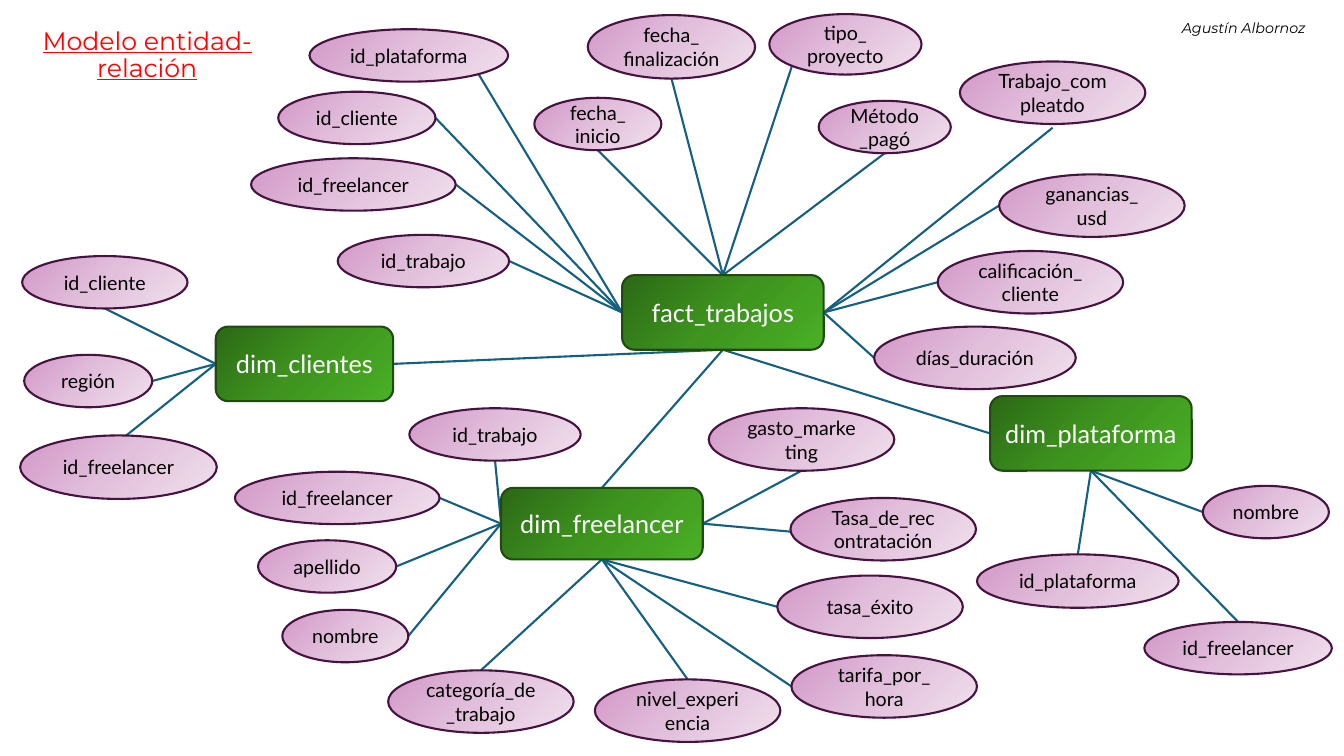
from copy import deepcopy

from lxml import etree
from pptx import Presentation
from pptx.dml.color import RGBColor
from pptx.enum.shapes import MSO_CONNECTOR, MSO_SHAPE
from pptx.enum.text import MSO_ANCHOR, MSO_AUTO_SIZE, PP_ALIGN
from pptx.oxml.ns import qn
from pptx.util import Inches, Pt

ROUNDED = MSO_SHAPE.ROUNDED_RECTANGLE
OVAL = MSO_SHAPE.OVAL
STRAIGHT = MSO_CONNECTOR.STRAIGHT
CENTER = PP_ALIGN.CENTER
TOP_ANCHOR = MSO_ANCHOR.TOP
MIDDLE_ANCHOR = MSO_ANCHOR.MIDDLE
NO_AUTOFIT = MSO_AUTO_SIZE.NONE

GREENS = ("2C6816", "3E941F", "4AB025")
PINKS = ("D297C8", "E2C0DC", "F0E1ED")
GREEN_BORDER = "224914"
PURPLE_BORDER = "461340"
LINK_COLOR = "156082"

TOP, BOTTOM, LEFT, RIGHT = (0.5, 0), (0.5, 1), (0, 0.5), (1, 0.5)
LOWER_LEFT, LOWER_RIGHT = (0.15, 0.85), (0.85, 0.85)

ENTITIES = {
    "fact_trabajos": (6.17, 2.73, 2, 0.74),
    "dim_clientes": (2.14, 3.24, 1.76, 0.74),
    "dim_freelancer": (4.97, 4.84, 2, 0.71),
    "dim_plataforma": (9.82, 3.93, 2, 0.74),
}

RELATIONS = [
    ("dim_clientes", RIGHT),
    ("dim_freelancer", TOP),
    ("dim_plataforma", LEFT),
]

ATTRIBUTES = {
    ("fact_trabajos", LEFT): [
        ("id_plataforma", (3.07, 0.29, 1.97, 0.52), LOWER_RIGHT),
        ("id_cliente", (2.76, 0.91, 1.56, 0.52), RIGHT),
        ("id_freelancer", (2.49, 1.57, 2.03, 0.52), RIGHT),
        ("id_trabajo", (3.35, 2.33, 1.7, 0.52), RIGHT),
    ],
    ("fact_trabajos", TOP): [
        ("fecha_ inicio", (5.3, 0.97, 1.26, 0.52), BOTTOM),
        ("fecha_ finalización", (5.83, 0.15, 1.66, 0.63), BOTTOM),
        ("tipo_ proyecto", (7.63, 0.14, 1.51, 0.6), LOWER_LEFT),
        ("Método_pagó", (8.12, 1, 1.31, 0.52), BOTTOM),
    ],
    ("fact_trabajos", RIGHT): [
        ("Trabajo_compleatdo", (9.52, 0.61, 1.84, 0.62), (0.5, 1.06)),
        ("ganancias_ usd", (9.91, 1.73, 1.84, 0.62), LEFT),
        ("calificación_cliente", (9.3, 2.49, 1.84, 0.62), LEFT),
        ("días_duración", (8.67, 3.24, 2, 0.62), LEFT),
    ],
    ("dim_clientes", LEFT): [
        ("id_cliente", (0.22, 2.54, 1.64, 0.52), BOTTOM),
        ("región", (0.24, 3.52, 1.27, 0.52), RIGHT),
        ("id_freelancer", (0.2, 4.32, 1.95, 0.63), (0.54, 0)),
    ],
    ("dim_freelancer", LEFT): [
        ("id_trabajo", (4.06, 4.05, 1.7, 0.52), BOTTOM),
        ("id_freelancer", (2.33, 4.68, 2.03, 0.52), RIGHT),
        ("apellido", (2.56, 5.36, 1.37, 0.52), RIGHT),
        ("nombre", (2.8, 6.05, 1.25, 0.52), RIGHT),
    ],
    ("dim_freelancer", BOTTOM): [
        ("categoría_de_trabajo", (3.85, 6.65, 1.84, 0.62), TOP),
        ("nivel_experiencia", (5.9, 6.74, 1.84, 0.62), TOP),
        ("tarifa_por_ hora", (7.85, 6.5, 1.84, 0.62), LEFT),
        ("tasa_éxito", (7.71, 5.71, 1.84, 0.62), LEFT),
    ],
    ("dim_freelancer", RIGHT): [
        ("Tasa_de_recontratación", (7.84, 4.94, 1.84, 0.62), (0, 0.54)),
        ("gasto_marketing", (7.03, 4.05, 1.84, 0.62), BOTTOM),
    ],
    ("dim_plataforma", BOTTOM): [
        ("nombre", (11.93, 4.82, 1.25, 0.52), LEFT),
        ("id_freelancer", (11.35, 6.17, 1.86, 0.52), TOP),
        ("id_plataforma", (9.69, 5.5, 2, 0.53), TOP),
    ],
}


def color(value):
    return RGBColor.from_string(value)


def inches(box):
    return [Inches(length) for length in box]


def write_text(shape, text, size, font="Lato", fill="000000", anchor=MIDDLE_ANCHOR,
               spacing=1.0, italic=False, underline=False):
    frame = shape.text_frame
    frame.auto_size = NO_AUTOFIT
    frame.word_wrap = True
    frame.vertical_anchor = anchor
    paragraph = frame.paragraphs[0]
    paragraph.alignment = CENTER
    paragraph.line_spacing = spacing
    run = paragraph.add_run()
    run.text = text
    run.font.name = font
    run.font.size = Pt(size)
    run.font.color.rgb = color(fill)
    run.font.bold = False
    run.font.italic = italic
    run.font.underline = underline


def fill_gradient(shape, colors):
    shape.fill.gradient()
    shape.fill.gradient_angle = 315
    first_stop = shape._element.spPr.find(".//" + qn("a:gs"))
    first_stop.addnext(deepcopy(first_stop))
    for index, (stop, value) in enumerate(zip(shape.fill.gradient_stops, colors)):
        stop.position = index / (len(colors) - 1)
        stop.color.rgb = color(value)


def add_node(slide, kind, text, box, colors, border, **text_format):
    shape = slide.shapes.add_shape(kind, *inches(box))
    shape.shadow.inherit = False
    fill_gradient(shape, colors)
    shape.line.color.rgb = color(border)
    shape.line.width = Pt(1.5)
    write_text(shape, text, **text_format)


def point_on(box, site):
    left, top, width, height = box
    return Inches(left + width * site[0]), Inches(top + height * site[1])


def add_link(slide, start_box, start_site, end_box, end_site):
    connector = slide.shapes.add_connector(
        STRAIGHT, *point_on(start_box, start_site), *point_on(end_box, end_site))
    connector.line.color.rgb = color(LINK_COLOR)
    connector.line.width = Pt(1.5)
    etree.SubElement(connector._element.spPr, qn("a:effectLst"))


def add_headings(slide):
    title = slide.shapes.title
    title.left, title.top, title.width, title.height = inches((0.19, 0.23, 2.54, 0.44))
    write_text(title, "Modelo entidad-relación", size=18, font="Montserrat",
               fill="FF0000", anchor=TOP_ANCHOR, spacing=0.9, underline=True)
    author = slide.shapes.add_textbox(*inches((11.58, 0.17, 1.51, 0.32)))
    write_text(author, "Agustín Albornoz", size=10.2, font="Montserrat",
               anchor=TOP_ANCHOR, spacing=0.8, italic=True)


def main():
    presentation = Presentation()
    presentation.slide_width = Inches(13.33)
    presentation.slide_height = Inches(7.5)
    slide = presentation.slides.add_slide(presentation.slide_layouts[5])
    add_headings(slide)
    for name, site in RELATIONS:
        add_link(slide, ENTITIES[name], site, ENTITIES["fact_trabajos"], BOTTOM)
    for (entity, entity_site), attributes in ATTRIBUTES.items():
        for text, box, site in attributes:
            add_link(slide, box, site, ENTITIES[entity], entity_site)
            add_node(slide, OVAL, text, box, PINKS, PURPLE_BORDER, size=14)
    for name, box in ENTITIES.items():
        add_node(slide, ROUNDED, name, box, GREENS, GREEN_BORDER, size=18, fill="FFFFFF")
    presentation.save("out.pptx")


if __name__ == "__main__":
    main()
